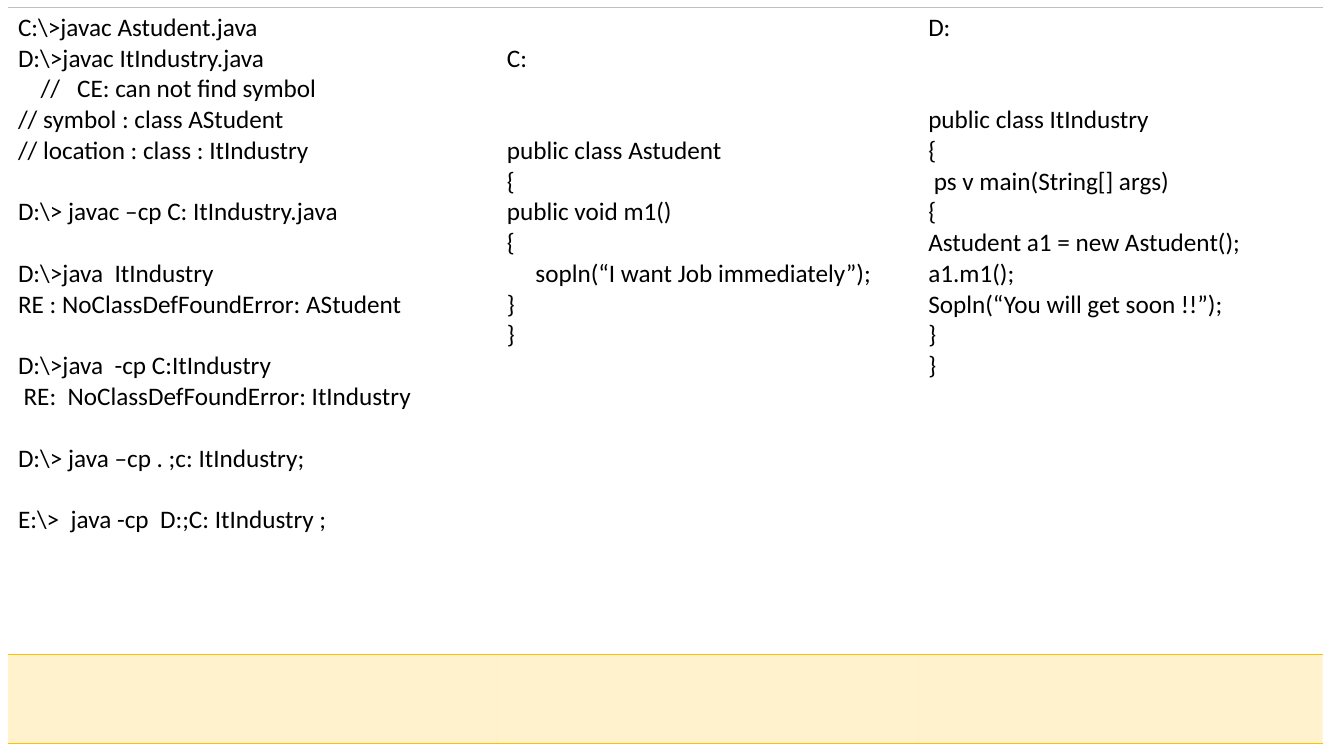
from lxml.etree import SubElement
from pptx import Presentation
from pptx.dml.color import RGBColor
from pptx.oxml.ns import qn
from pptx.util import Cm, Pt

BLACK = RGBColor(0x00, 0x00, 0x00)
GOLD = RGBColor(0xFF, 0xC0, 0x00)
GREY = RGBColor(0xBF, 0xBF, 0xBF)
PLAIN = "{2D5ABB26-0587-4C30-8999-92F81FD0307C}"  # table style without grid

LINE = 22  # points from one line of text to the next
WIDTHS = (12.32, 10.62, 10.19)
HEIGHTS = (16.31, 2.24)

# Each line: text, blank lines above it, indent in cm
STEPS = [
    ("C:\\>javac Astudent.java", 0, 0),
    ("D:\\>javac ItIndustry.java", 0, 0),
    ("//   CE: can not find symbol", 0, 0.57),
    ("// symbol : class AStudent", 0, 0),
    ("// location : class : ItIndustry", 0, 0),
    ("D:\\> javac –cp C: ItIndustry.java", 1, 0),
    ("D:\\>java  ItIndustry", 1, 0),
    ("RE : NoClassDefFoundError: AStudent", 0, 0),
    ("D:\\>java  -cp C:ItIndustry", 1, 0),
    ("RE:  NoClassDefFoundError: ItIndustry", 0, 0.14),
    ("D:\\> java –cp . ;c: ItIndustry;", 1, 0),
    ("E:\\>  java -cp  D:;C: ItIndustry ;", 1, 0),
]
STUDENT = [
    ("C:", 1, 0),
    ("public class Astudent", 2, 0),
    ("{", 0, 0),
    ("public void m1()", 0, 0),
    ("{", 0, 0),
    ("sopln(“I want Job immediately”);", 0, 0.72),
    ("}", 0, 0),
    ("}", 0, 0),
]
INDUSTRY = [
    ("D:", 0, 0),
    ("public class ItIndustry", 2, 0),
    ("{", 0, 0),
    ("ps v main(String[] args)", 0, 0.14),
    ("{", 0, 0),
    ("Astudent a1 = new Astudent();", 0, 0),
    ("a1.m1();", 0, 0),
    ("Sopln(“You will get soon !!”);", 0, 0),
    ("}", 0, 0),
    ("}", 0, 0),
]


class Deck:
    font = "Calibri"
    size = Pt(18)
    color = BLACK

    def __init__(self, slide):
        self.slide = slide

    def table(self, left, top, widths, heights):
        frame = self.slide.shapes.add_table(
            len(heights), len(widths), Cm(left), Cm(top),
            Cm(sum(widths)), Cm(sum(heights)))
        table = frame.table
        table.first_row = table.horz_banding = False
        table._tbl.tblPr.find(qn("a:tableStyleId")).text = PLAIN
        for col, width in zip(table.columns, widths):
            col.width = Cm(width)
        for row, height in zip(table.rows, heights):
            row.height = Cm(height)
        return table

    def border(self, cell, side, color, width):
        """Draw one side, "T" or "B"; call before the cell gets its fill."""
        props = cell._tc.get_or_add_tcPr()
        line = SubElement(props, qn("a:ln" + side), w=str(Pt(width)))
        fill = SubElement(line, qn("a:solidFill"))
        SubElement(fill, qn("a:srgbClr"), val=str(color))

    def tint(self, cell, color, alpha):
        """Fill the cell with a colour at alpha percent opacity."""
        cell.fill.solid()
        cell.fill.fore_color.rgb = color
        tone = cell._tc.tcPr.find(qn("a:solidFill")).find(qn("a:srgbClr"))
        SubElement(tone, qn("a:alpha"), val=str(alpha * 1000))

    def code(self, cell, lines):
        """Write lines; blank lines above the first become cell margin."""
        cell.margin_top = Cm(0.13) + Pt(lines[0][1] * LINE)
        frame = cell.text_frame
        for i, (text, gap, indent) in enumerate(lines):
            para = frame.add_paragraph() if i else frame.paragraphs[0]
            if i and gap:
                para.space_before = Pt(gap * LINE)
            if indent:
                para._p.get_or_add_pPr().set("marL", str(Cm(indent)))
            run = para.add_run()
            run.text = text
            run.font.name = self.font
            run.font.size = self.size
            run.font.color.rgb = self.color


def main():
    prs = Presentation()
    prs.slide_width, prs.slide_height = Cm(33.87), Cm(19.05)
    deck = Deck(prs.slides.add_slide(prs.slide_layouts[6]))
    table = deck.table(0.2, 0.18, WIDTHS, HEIGHTS)
    for col, lines in enumerate((STEPS, STUDENT, INDUSTRY)):
        body, foot = table.cell(0, col), table.cell(1, col)
        deck.border(body, "T", GREY, 0.75)
        deck.border(body, "B", GOLD, 1)
        deck.border(foot, "T", GOLD, 1)
        deck.border(foot, "B", GOLD, 1)
        deck.tint(foot, GOLD, 20)
        deck.code(body, lines)
    prs.save("out.pptx")


if __name__ == "__main__":
    main()
